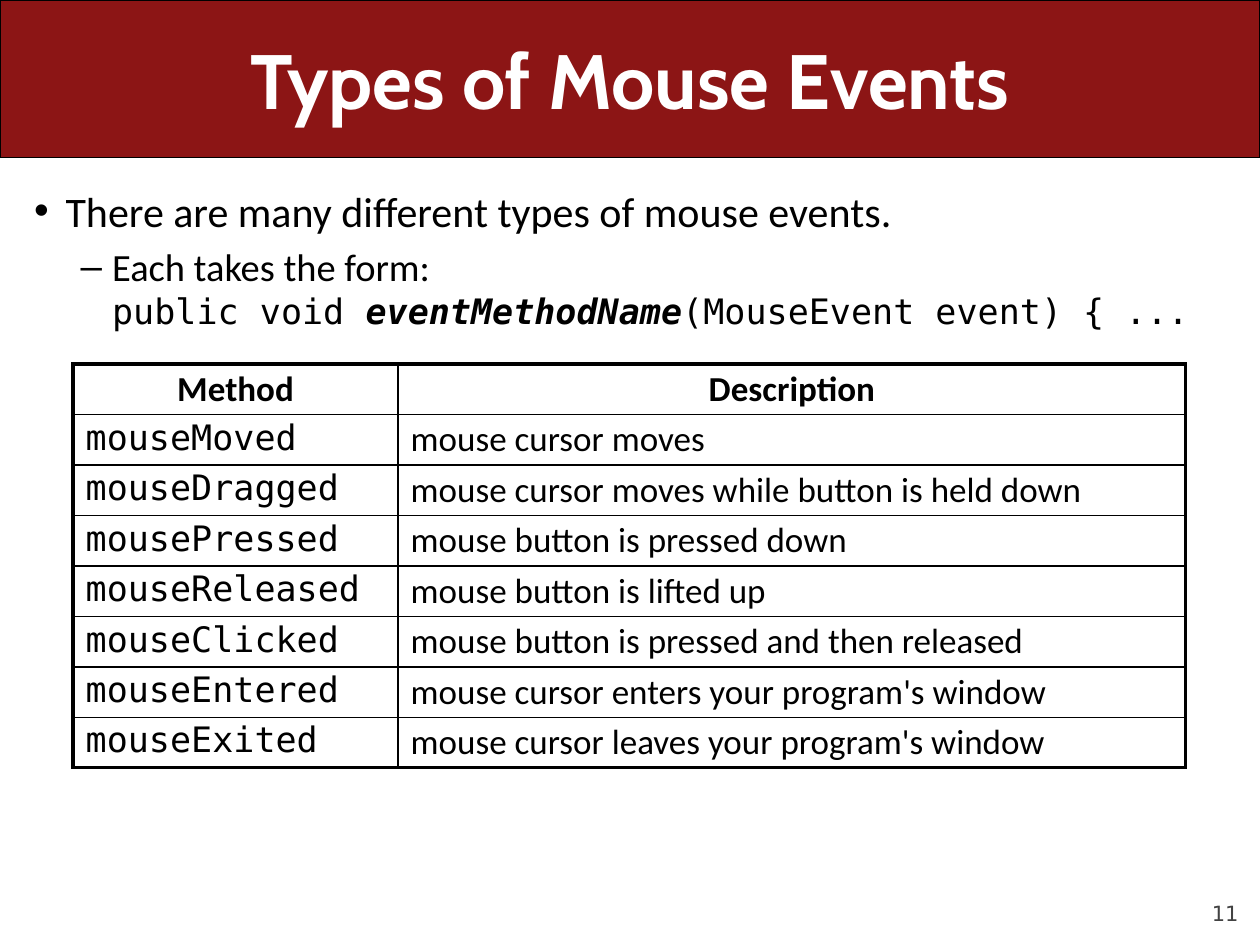
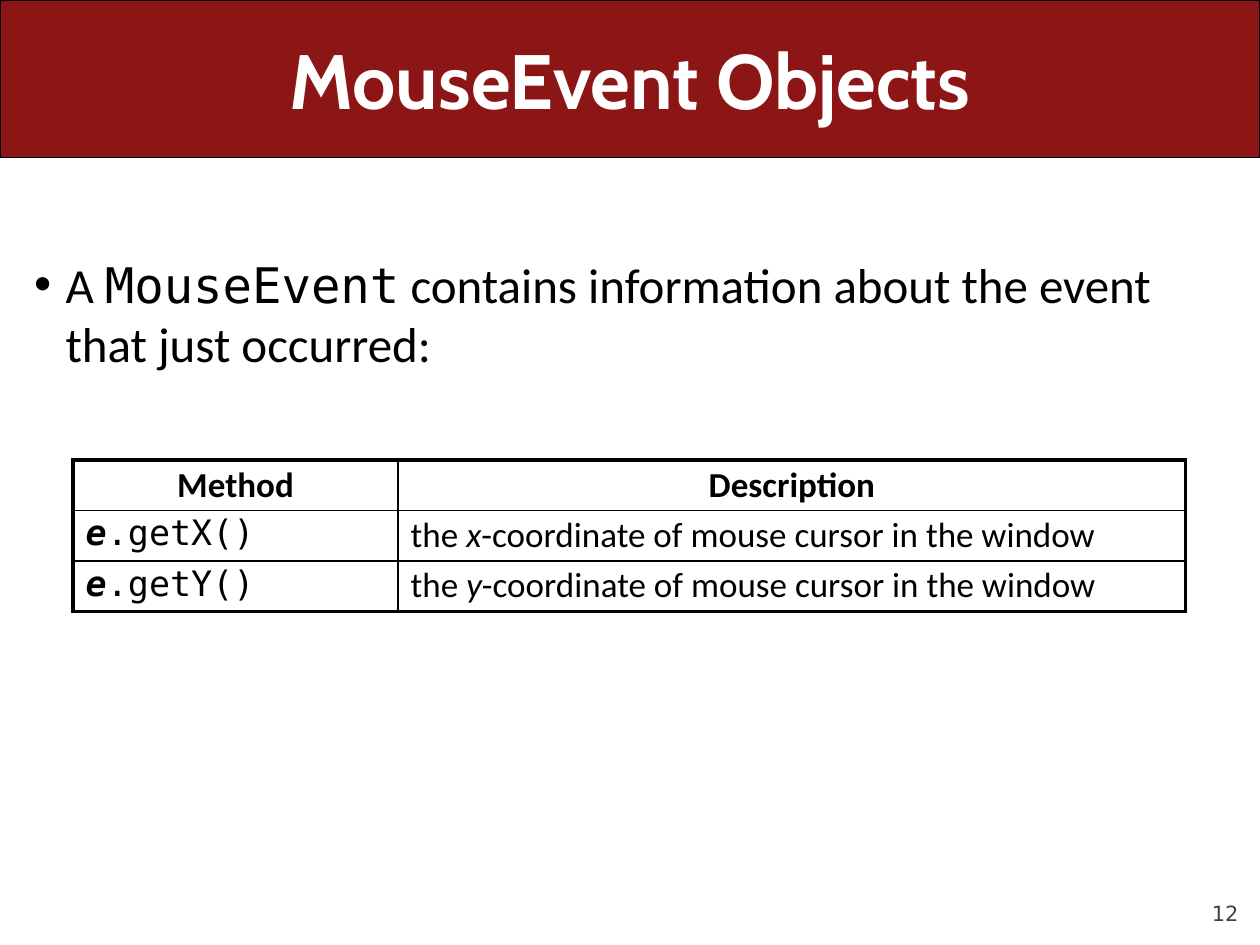
from dataclasses import dataclass

from lxml.etree import SubElement
from pptx import Presentation
from pptx.dml.color import RGBColor
from pptx.enum.shapes import MSO_SHAPE
from pptx.enum.text import MSO_ANCHOR, MSO_AUTO_SIZE, PP_ALIGN
from pptx.oxml.ns import qn
from pptx.util import Inches, Pt


@dataclass(frozen=True)
class Theme:
    red: str = "8C1515"
    black: str = "000000"
    white: str = "FFFFFF"
    gray: str = "424242"
    head: str = "Cabin"
    sans: str = "Calibri"
    mono: str = "DejaVu Sans Mono"
    foot: str = "DejaVu Sans"
    title: float = 44
    large: float = 28
    lead: float = 24
    sub: float = 22
    cell: float = 20
    code: float = 20
    note: float = 12
    thin: float = 1
    thick: float = 2.25
    edge: float = 0.75


class Deck:
    def __init__(self, theme):
        self.theme = theme
        self.show = Presentation()
        self.show.slide_width = Inches(10)
        self.show.slide_height = Inches(7.5)
        self.slide = None

    def place(self, shape, left, top, width, height):
        shape.left, shape.top = Inches(left), Inches(top)
        shape.width, shape.height = Inches(width), Inches(height)

    def run(self, para, text, size, face, color, bold=False, slant=False):
        run = para.add_run()
        run.text = text
        font = run.font
        font.size, font.name = Pt(size), face
        font.bold, font.italic = bold, slant
        font.color.rgb = RGBColor.from_string(color)

    def fill(self, para, parts, size):
        look = self.theme
        for text, style in parts:
            if text == "\n":
                para.add_line_break()
                continue
            face = look.mono if "m" in style else look.sans
            scale = look.code if "c" in style else size
            self.run(para, text, scale, face, look.black, "b" in style, "i" in style)

    def page(self, title, number):
        self.slide = self.show.slides.add_slide(self.show.slide_layouts[1])
        self.band()
        self.title(title)
        self.number(number)

    def band(self):
        look = self.theme
        shapes = self.slide.shapes
        band = shapes.add_shape(
            MSO_SHAPE.RECTANGLE, Inches(0), Inches(0), Inches(10), Inches(1.25))
        band.shadow.inherit = False
        band.fill.solid()
        band.fill.fore_color.rgb = RGBColor.from_string(look.red)
        band.line.color.rgb = RGBColor.from_string(look.black)
        band.line.width = Pt(look.edge)
        shapes.title._element.addprevious(band._element)

    def title(self, text):
        look = self.theme
        title = self.slide.shapes.title
        self.place(title, 0.5, 0, 9, 1.25)
        frame = title.text_frame
        frame.auto_size = MSO_AUTO_SIZE.NONE
        frame.vertical_anchor = MSO_ANCHOR.MIDDLE
        para = frame.paragraphs[0]
        para.alignment = PP_ALIGN.CENTER
        self.run(para, text, look.title, look.head, look.white, bold=True)

    def number(self, value):
        look = self.theme
        box = self.slide.shapes.add_textbox(
            Inches(9), Inches(6.95), Inches(0.83), Inches(0.4))
        frame = box.text_frame
        frame.word_wrap = True
        frame.vertical_anchor = MSO_ANCHOR.BOTTOM
        frame.margin_left = frame.margin_right = 0
        frame.margin_top = frame.margin_bottom = 0
        para = frame.paragraphs[0]
        para.alignment = PP_ALIGN.RIGHT
        self.run(para, str(value), look.note, look.foot, look.gray)

    def bullets(self, top, items):
        body = self.slide.placeholders[1]
        self.place(body, 0.17, top, 9.67, 7.09 - top)
        frame = body.text_frame
        frame.auto_size = MSO_AUTO_SIZE.NONE
        for index, (level, size, parts) in enumerate(items):
            para = frame.add_paragraph() if index else frame.paragraphs[0]
            para.level = level
            props = para._p.get_or_add_pPr()
            props.set("marL", str(Inches((0.25, 0.62)[level])))
            props.set("indent", str(Inches(-0.25)))
            SubElement(props, qn("a:buFont"), typeface="Arial")
            SubElement(props, qn("a:buChar"), char="•–"[level])
            para.space_before = Pt(0.2 * size if index else 0)
            self.fill(para, parts, size)

    def border(self, cell, widths):
        props = cell._tc.get_or_add_tcPr()
        for spot, (side, width) in enumerate(widths.items()):
            line = SubElement(props, qn(f"a:ln{side}"), w=str(Pt(width)))
            paint = SubElement(line, qn("a:solidFill"))
            SubElement(paint, qn("a:srgbClr"), val=self.theme.black)
            props.insert(spot, line)

    def table(self, top, rows):
        look = self.theme
        high = 0.4
        rows = [([("Method", "b")], [("Description", "b")])] + rows
        table = self.slide.shapes.add_table(
            len(rows), 2, Inches(0.58), Inches(top),
            Inches(8.83), Inches(high * len(rows))).table
        table.first_row = table.horz_banding = False
        for column, width in zip(table.columns, (2.58, 6.25)):
            column.width = Inches(width)
        last = len(rows) - 1
        for r, row in enumerate(rows):
            table.rows[r].height = Inches(high)
            for c, parts in enumerate(row):
                cell = table.cell(r, c)
                cell.fill.background()
                outer = {"L": c == 0, "R": c == 1, "T": r == 0, "B": r == last}
                self.border(cell, {side: look.thick if out else look.thin
                                   for side, out in outer.items()})
                para = cell.text_frame.paragraphs[0]
                para.alignment = PP_ALIGN.LEFT if r else PP_ALIGN.CENTER
                para.line_spacing = 0.9
                self.fill(para, parts, look.cell)


def main():
    look = Theme()
    deck = Deck(look)

    deck.page("Types of Mouse Events", 11)
    deck.bullets(1.42, [
        (0, look.lead, [("There are many different types of mouse events.", "")]),
        (1, look.sub, [
            ("Each takes the form:", ""),
            ("\n", ""),
            ("public void ", "mc"),
            ("eventMethodName", "mcbi"),
            ("(MouseEvent event) { ...", "mc"),
        ]),
    ])
    events = {
        "Moved": "cursor moves",
        "Dragged": "cursor moves while button is held down",
        "Pressed": "button is pressed down",
        "Released": "button is lifted up",
        "Clicked": "button is pressed and then released",
        "Entered": "cursor enters your program's window",
        "Exited": "cursor leaves your program's window",
    }
    deck.table(2.89, [([(f"mouse{name}", "m")], [(f"mouse {text}", "")])
                      for name, text in events.items()])

    deck.page("MouseEvent Objects", 12)
    deck.bullets(1.97, [
        (0, look.large, [
            ("A ", ""),
            ("MouseEvent", "m"),
            (" contains information about the event that just occurred:", ""),
        ]),
    ])
    deck.table(3.65, [
        ([("e", "mbi"), (f".get{axis.upper()}()", "m")],
         [("the ", ""), (axis, "i"),
          ("-coordinate of mouse cursor in the window", "")])
        for axis in "xy"])

    deck.show.save("out.pptx")


if __name__ == "__main__":
    main()
